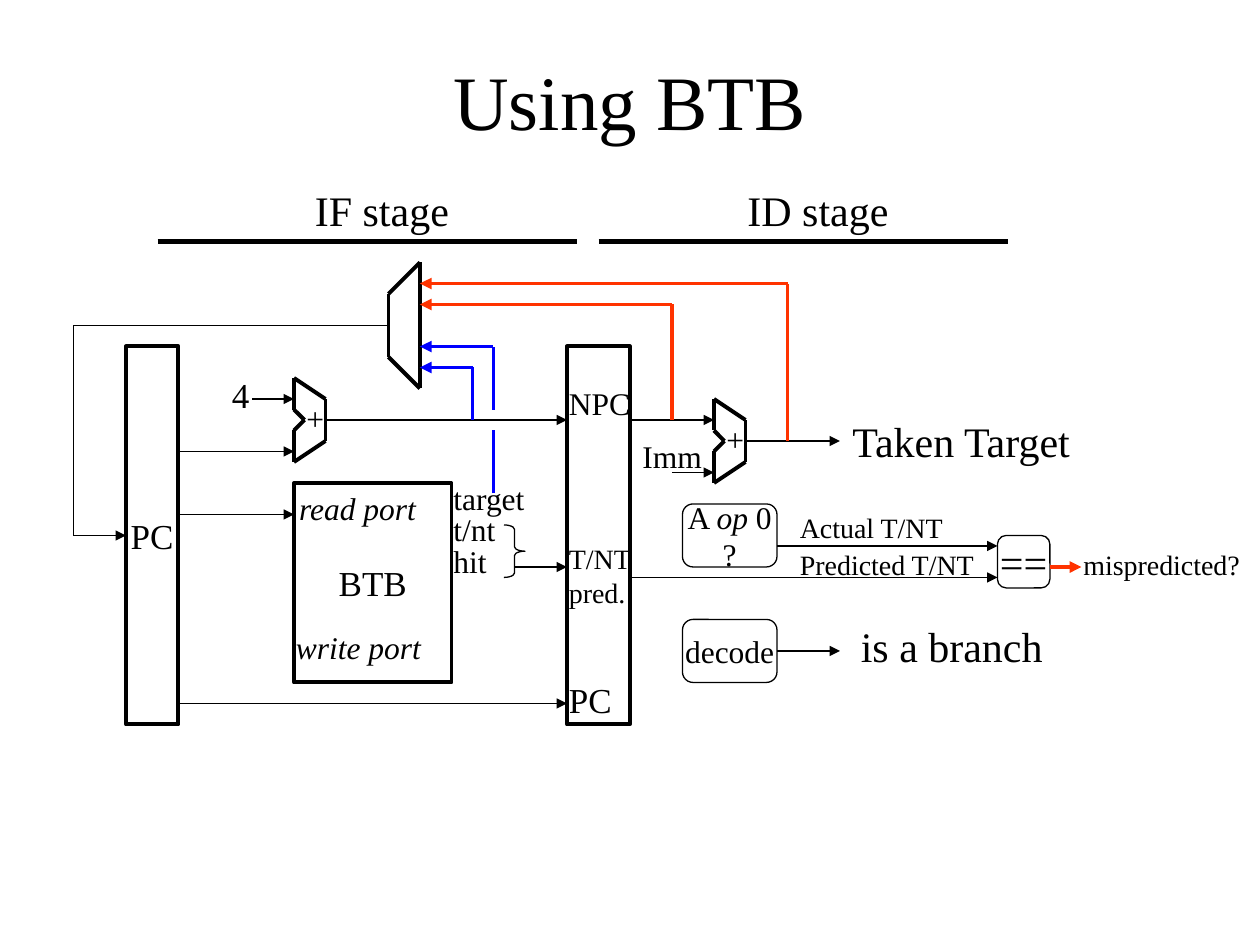
"""Draw the branch target buffer datapath on a twelfth-of-an-inch grid."""
from itertools import pairwise

from lxml import etree
from pptx import Presentation
from pptx.dml.color import RGBColor
from pptx.enum.shapes import MSO_CONNECTOR, MSO_SHAPE
from pptx.enum.text import MSO_ANCHOR, MSO_AUTO_SIZE, PP_ALIGN
from pptx.oxml.ns import qn
from pptx.util import Cm, Pt

STRAIGHT = MSO_CONNECTOR.STRAIGHT
RECTANGLE = MSO_SHAPE.RECTANGLE
ROUNDED = MSO_SHAPE.ROUNDED_RECTANGLE
BRACE = MSO_SHAPE.RIGHT_BRACE
MIDDLE, TOP = MSO_ANCHOR.MIDDLE, MSO_ANCHOR.TOP
CENTER, LEFT = PP_ALIGN.CENTER, PP_ALIGN.LEFT
GROW, FIXED = MSO_AUTO_SIZE.SHAPE_TO_FIT_TEXT, MSO_AUTO_SIZE.NONE

BLACK = RGBColor(0, 0, 0)
BLUE = RGBColor(0, 0, 255)
RED = RGBColor(255, 51, 0)
FONT = "Times New Roman"
THIN, THICK, HEAVY = 0.75, 2.25, 3
LINE_HEIGHT = {16: 4.4, 18: 4.8, 20: 5.2, 24: 6}

BLOCKS = [
    (RECTANGLE, (12, 33, 5, 36), THICK, ["PC"], 20),
    (RECTANGLE, (54, 33, 6, 36), THICK, [], 20),
    (RECTANGLE, (28, 46, 15, 19), THICK, ["BTB"], 20),
    (ROUNDED, (65, 48, 9, 6), THIN, ["A ", "*op", " 0", "\n", "?"], 18),
    (ROUNDED, (65, 59, 9, 6), THIN, ["decode"], 18),
    (ROUNDED, (95, 51, 5, 5), THIN, ["=="], 24),
    (BRACE, (48, 50, 2, 5), THIN, [], 18),
]

LABELS = [
    (53, 64, 6.5, ["PC"], 20),
    (53, 36, 8.3, ["NPC"], 18),
    (53, 51, 8.3, ["T/NT", "\n", "pred."], 16),
    (20.9, 35, 4.1, ["4"], 20),
    (60, 41, 8.4, ["Imm"], 18),
    (80, 39, 23.8, ["Taken Target"], 24),
    (75, 48, 16.1, ["Actual T/NT"], 16),
    (75, 51.6, 19.1, ["Predicted T/NT"], 16),
    (80.8, 58.5, 19.7, ["is a branch"], 24),
    (102, 51.6, 17.4, ["mispredicted?"], 16),
    (27, 59.2, 14.3, ["*write port"], 18),
    (27.3, 46, 13.7, ["*read port"], 18),
    (28.8, 17, 15.2, ["IF stage"], 24),
    (70, 17, 15.8, ["ID stage"], 24),
    (42, 45, 9.2, ["target"], 18),
    (42, 48, 6.4, ["t/nt"], 18),
    (42, 51, 5.6, ["hit"], 18),
]

SIGNALS = [
    [(17, 67), (54, 67)],
    [(17, 43), (28, 43)],
    [(17, 49), (28, 49)],
    [(24, 38), (28, 38)],
    [(31, 40), (54, 40)],
    [(60, 40), (68, 40)],
    [(64, 45), (68, 45)],
    [(71, 42), (80, 42)],
    [(74, 52), (95, 52)],
    [(74, 62), (80, 62)],
    [(49, 54), (54, 54)],
    [(60, 55), (95, 55)],
    [(37, 31), (7, 31), (7, 51), (12, 51)],
]

NEXT_PC_PATHS = [
    ([(47, 39), (47, 33), (40, 33)], BLUE),
    ([(45, 40), (45, 35), (40, 35)], BLUE),
    ([(64, 40), (64, 29), (40, 29)], RED),
    ([(75, 42), (75, 27), (40, 27)], RED),
    ([(100, 54), (103, 54)], RED),
]

ADDER = [(0, 0), (0, 3), (1, 4), (0, 5), (0, 8), (3, 6), (3, 2), (0, 0)]
MULTIPLEXER = [(40, 37), (40, 25), (37, 28), (37, 34), (40, 37)]


def grid(*steps):
    """Turn grid steps into lengths."""
    return [Cm(step * 2.54 / 12) for step in steps]


def write_text(shape, pieces, size, align, frame_format):
    """Write pieces as runs; a leading star means italic."""
    frame = shape.text_frame
    for name, value in frame_format.items():
        setattr(frame, name, value)
    paragraph = frame.paragraphs[0]
    paragraph.alignment = align
    for piece in pieces:
        if piece == "\n":
            paragraph.add_line_break()
            continue
        run = paragraph.add_run()
        run.text = piece.lstrip("*")
        font_format = {"name": FONT, "size": Pt(size), "italic": piece.startswith("*")}
        for name, value in font_format.items():
            setattr(run.font, name, value)
        run.font.color.rgb = BLACK


def add_label(slide, left, top, width, pieces, size):
    """Add a free label that grows with its text."""
    lines = 1 + pieces.count("\n")
    height = LINE_HEIGHT[size] + (lines - 1) * 3.2
    box = slide.shapes.add_textbox(*grid(left, top, width, height))
    frame_format = {"word_wrap": False, "auto_size": GROW, "vertical_anchor": TOP}
    write_text(box, pieces, size, LEFT, frame_format)


def add_title(slide, text):
    """Add the centred slide title."""
    box = slide.shapes.add_textbox(*grid(9, 2, 102, 15))
    frame_format = {"word_wrap": True, "auto_size": FIXED, "vertical_anchor": MIDDLE}
    write_text(box, [text], 44, CENTER, frame_format)


def add_block(slide, kind, bounds, weight, pieces, size):
    """Add an unfilled outlined block with centred text."""
    shape = slide.shapes.add_shape(kind, *grid(*bounds))
    shape.shadow.inherit = False
    shape.fill.background()
    shape.line.color.rgb = BLACK
    shape.line.width = Pt(weight)
    if kind == BRACE:
        shape.adjustments[0] = 0.21
    if pieces:
        frame_format = {"word_wrap": False, "vertical_anchor": MIDDLE}
        write_text(shape, pieces, size, CENTER, frame_format)


def add_path(slide, points, color=BLACK, weight=THIN, arrow=False):
    """Join points with straight lines, with an optional arrowhead at the end."""
    for start, end in pairwise(points):
        connector = slide.shapes.add_connector(STRAIGHT, *grid(*start, *end))
        connector.line.color.rgb = color
        connector.line.width = Pt(weight)
        properties = connector._element.spPr
        etree.SubElement(properties, qn("a:effectLst"))
    if arrow:
        line = properties.find(qn("a:ln"))
        etree.SubElement(line, qn("a:tailEnd"), type="triangle")


def add_adder(slide, left, top):
    """Add a notched adder with its plus sign."""
    add_path(slide, [(left + x, top + y) for x, y in ADDER], weight=THICK)
    add_label(slide, left, top + 1.4, 4.1, ["+"], 18)


def main():
    """Build and save the slide."""
    presentation = Presentation()
    presentation.slide_width, presentation.slide_height = grid(120, 90)
    slide = presentation.slides.add_slide(presentation.slide_layouts[6])
    add_title(slide, "Using BTB")
    for left, right in [(15, 55), (57, 96)]:
        add_path(slide, [(left, 23), (right, 23)], weight=HEAVY)
    for block in BLOCKS:
        add_block(slide, *block)
    for left, top in [(28, 36), (68, 38)]:
        add_adder(slide, left, top)
    add_path(slide, MULTIPLEXER, weight=THICK)
    for label in LABELS:
        add_label(slide, *label)
    for points in SIGNALS:
        add_path(slide, points, arrow=True)
    add_path(slide, [(47, 47), (47, 41)], BLUE, THICK)
    for points, color in NEXT_PC_PATHS:
        add_path(slide, points, color, THICK, arrow=True)
    presentation.save("out.pptx")


if __name__ == "__main__":
    main()
